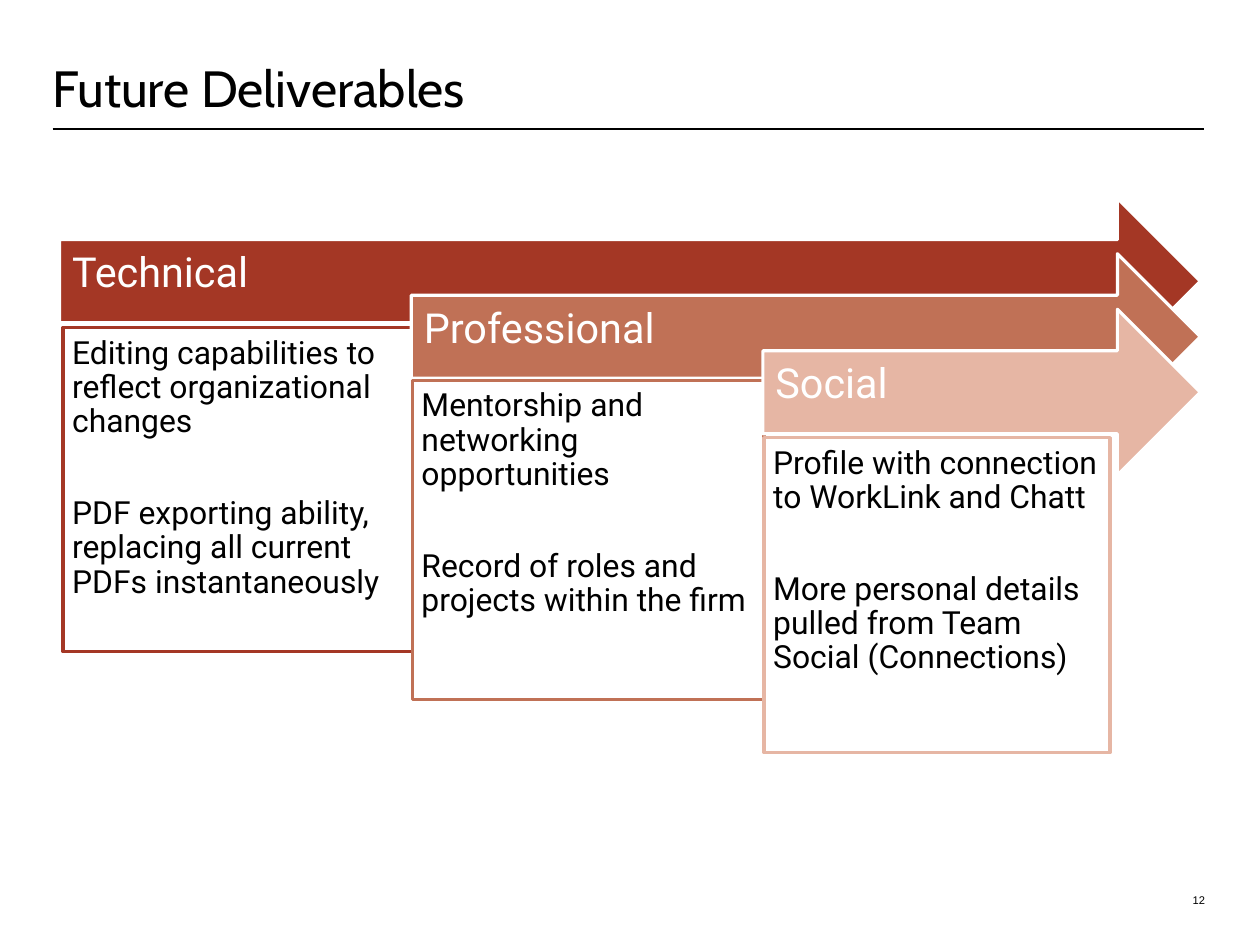
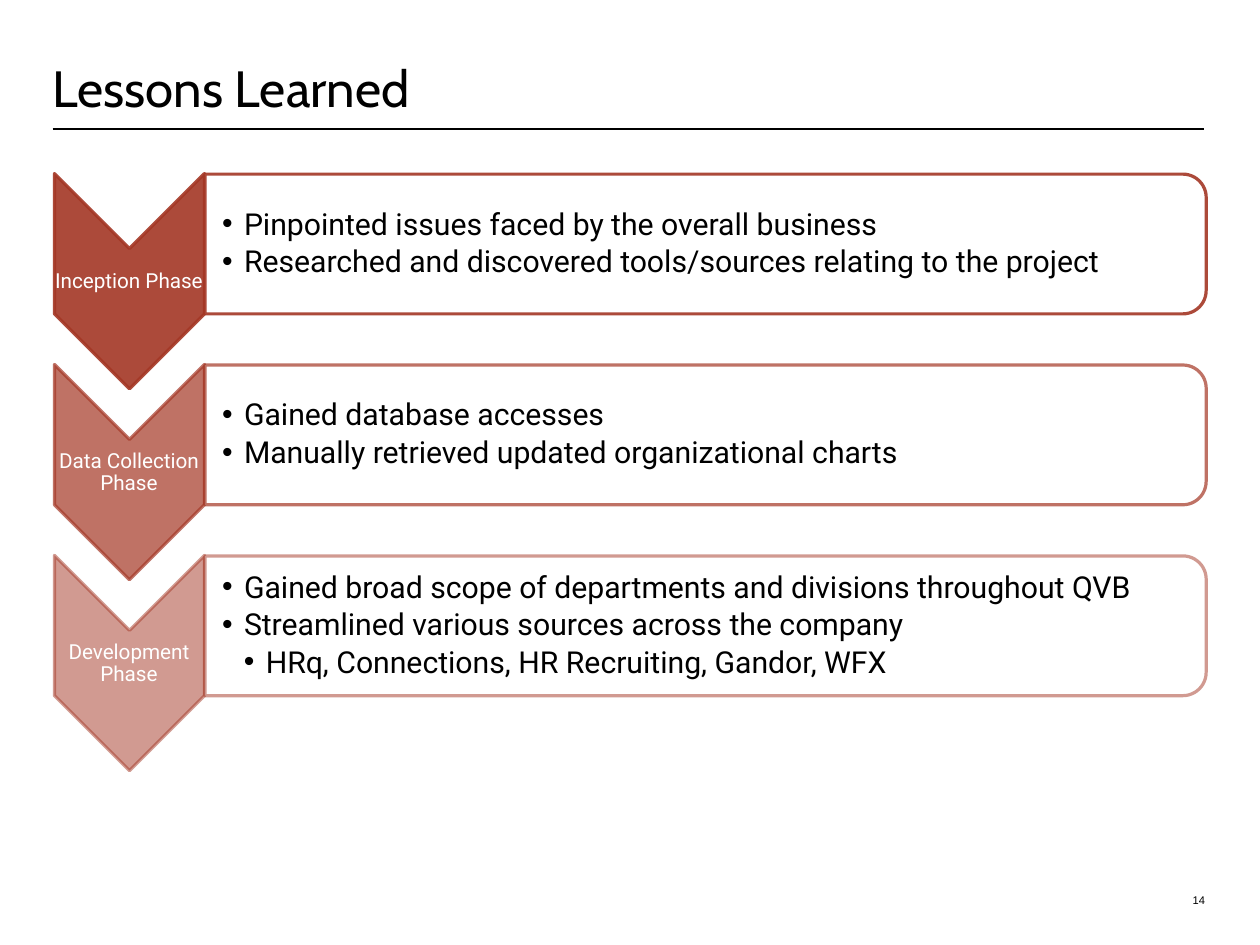
from dataclasses import dataclass
from typing import Any

from lxml.etree import SubElement
from pptx import Presentation
from pptx.dml.color import RGBColor
from pptx.enum.shapes import MSO_CONNECTOR, MSO_SHAPE
from pptx.enum.text import MSO_ANCHOR as Anchor, MSO_AUTO_SIZE, PP_ALIGN as Align
from pptx.oxml.ns import qn
from pptx.util import Inches, Pt

COLORS = {
    "ink": "000000",
    "paper": "FFFFFF",
    "brick": "A43725",
    "clay": "C07156",
    "peach": "E6B6A4",
}
COMPARISON, TITLE_ONLY = 4, 5  # layouts of the default template
LEFT, RIGHT, RULE_Y = 0.46, 10.51, 1.13

Box = tuple[float, float, float, float]
Item = tuple[str, int]


@dataclass(frozen=True)
class TextStyle:
    font: str
    size: float
    color: str = "ink"
    align: Align = Align.LEFT
    anchor: Anchor = Anchor.TOP
    insets: Box = (0, 0, 0, 0)
    spacing: Any = 0.9
    after: float = 0


TITLE = TextStyle("Cabin", 32, anchor=Anchor.BOTTOM, spacing=Pt(32))
PAGE = TextStyle("Arial", 7, align=Align.RIGHT, anchor=Anchor.BOTTOM, spacing=1.0)
ARROW = TextStyle("Roboto", 26, "paper", anchor=Anchor.MIDDLE,
                  insets=(0.11, 0.11, 0.28, 0.23))
DETAIL = TextStyle("Roboto", 20, insets=(0.08,) * 4, after=36)
PHASE = TextStyle("Roboto", 13, "paper", Align.CENTER, Anchor.MIDDLE, (0.01,) * 4)
LESSON = TextStyle("Roboto", 19, anchor=Anchor.MIDDLE,
                   insets=(0.15, 0.01, 0.01, 0.01), after=3)


@dataclass(frozen=True)
class Deliverable:
    name: str
    color: str
    box: Box
    details: tuple[str, ...]


@dataclass(frozen=True)
class Phase:
    name: str
    opacity: int
    lessons: tuple[Item, ...]


DELIVERABLES = (
    Deliverable("Technical", "brick", (0.55, 2.86, 3.1, 2.83), (
        "Editing capabilities to reflect organizational changes",
        "PDF exporting ability, replacing all current PDFs instantaneously")),
    Deliverable("Professional", "clay", (3.6, 3.32, 3.07, 2.79), (
        "Mentorship and networking opportunities",
        "Record of roles and projects within the firm")),
    Deliverable("Social", "peach", (6.67, 3.82, 3.02, 2.75), (
        "Profile with connection to WorkLink and Chatt",
        "More personal details pulled from Team Social (Connections)")),
)
PHASES = (
    Phase("Inception Phase", 90, (
        ("Pinpointed issues faced by the overall business", 0),
        ("Researched and discovered tools/sources relating to the project", 0))),
    Phase("Data Collection Phase", 70, (
        ("Gained database accesses", 0),
        ("Manually retrieved updated organizational charts", 0))),
    Phase("Development Phase", 50, (
        ("Gained broad scope of departments and divisions throughout QVB", 0),
        ("Streamlined various sources across the company", 0),
        ("HRq, Connections, HR Recruiting, Gandor, WFX", 1))),
)


def rgb(name: str) -> RGBColor:
    return RGBColor.from_string(COLORS[name])


def set_attrs(obj: Any, values: dict[str, Any]) -> None:
    for name, value in values.items():
        setattr(obj, name, value)


def place(sp: Any, box: Box) -> None:
    set_attrs(sp, dict(zip(("left", "top", "width", "height"), map(Inches, box))))


def write(sp: Any, items: tuple[Item, ...], style: TextStyle, bullets: bool = False) -> None:
    """Fill a shape with (text, level) paragraphs in one style."""
    tf = sp.text_frame
    margins = ("margin_left", "margin_top", "margin_right", "margin_bottom")
    set_attrs(tf, {
        "word_wrap": True,
        "auto_size": MSO_AUTO_SIZE.NONE,
        "vertical_anchor": style.anchor,
        **dict(zip(margins, map(Inches, style.insets))),
    })
    for i, (text, level) in enumerate(items):
        p = tf.add_paragraph() if i else tf.paragraphs[0]
        set_attrs(p, {
            "alignment": style.align,
            "level": level,
            "line_spacing": style.spacing,
            "space_before": Pt(0),
            "space_after": Pt(style.after),
        })
        r = p.add_run()
        r.text = text
        set_attrs(r.font, {"name": style.font, "size": Pt(style.size), "bold": False})
        r.font.color.rgb = rgb(style.color)
        if bullets:
            add_bullet(p, level)


def add_bullet(p: Any, level: int) -> None:
    ppr = p._p.get_or_add_pPr()
    ppr.set("marL", str(Inches(0.19 * (level + 1))))
    ppr.set("indent", str(Inches(-0.19)))
    SubElement(ppr, qn("a:buFont"), typeface="Arial")
    SubElement(ppr, qn("a:buChar"), char="•")


def set_opacity(color_format: Any, percent: int) -> None:
    """Make a solid fill, or the fill of a line, partly transparent."""
    for clr in color_format.iter(qn("a:srgbClr")):
        SubElement(clr, qn("a:alpha"), val=str(percent * 1000))


def add_box(s: Any, kind: MSO_SHAPE, box: Box, fill: str, line: str,
            rotation: float = 0, fill_opacity: int = 100, line_opacity: int = 100) -> Any:
    sp = s.shapes.add_shape(kind, *map(Inches, box))
    sp.rotation = rotation
    sp.shadow.inherit = False
    sp.fill.solid()
    sp.fill.fore_color.rgb = rgb(fill)
    sp.line.color.rgb = rgb(line)
    sp.line.width = Pt(2)
    sppr = sp.element.spPr
    for tag, opacity in (("a:solidFill", fill_opacity), ("a:ln", line_opacity)):
        if opacity < 100:
            set_opacity(sppr.find(qn(tag)), opacity)
    return sp


def add_text(s: Any, box: Box, text: str, style: TextStyle) -> None:
    write(s.shapes.add_textbox(*map(Inches, box)), ((text, 0),), style)


def add_slide(prs: Any, layout: int, title: str, number: int) -> Any:
    """Add a slide with its title, rule and page number."""
    s = prs.slides.add_slide(prs.slide_layouts[layout])
    place(s.shapes.title, (LEFT, 0, RIGHT - LEFT, 1.03))
    write(s.shapes.title, ((title, 0),), TITLE)
    rule = s.shapes.add_connector(
        MSO_CONNECTOR.STRAIGHT, *map(Inches, (LEFT, RULE_Y, RIGHT, RULE_Y)))
    rule.line.color.rgb = rgb("ink")
    rule.line.width = Pt(1.25)
    SubElement(rule.element.spPr, qn("a:effectLst"))
    add_text(s, (10.07, 7.5, 0.45, 0.42), str(number), PAGE)
    return s


def build_deliverables(prs: Any) -> None:
    s = add_slide(prs, TITLE_ONLY, "Future Deliverables", 12)
    arrow_tip = 10.48
    for i, item in enumerate(DELIVERABLES):
        left, top = 0.52 + 3.07 * i, 1.73 + 0.97 / 2 * i
        arrow = add_box(s, MSO_SHAPE.RIGHT_ARROW, (left, top, arrow_tip - left, 1.45),
                        item.color, "paper")
        write(arrow, ((item.name, 0),), ARROW)
        panel = add_box(s, MSO_SHAPE.RECTANGLE, item.box, "paper", item.color)
        write(panel, tuple((text, 0) for text in item.details), DETAIL)


def build_lessons(prs: Any) -> None:
    s = add_slide(prs, COMPARISON, "Lessons Learned", 14)
    _, *bodies = s.placeholders
    pitch = 5 / 3
    for i, (phase, body) in enumerate(zip(PHASES, bodies)):
        y = pitch * i
        add_box(s, MSO_SHAPE.CHEVRON, (0.19, 1.8 + y, 1.88, 1.31), "brick", "brick",
                90, phase.opacity, phase.opacity)
        add_text(s, (0.47, 2.18 + y, 1.31, 0.56), phase.name, PHASE)
        add_box(s, MSO_SHAPE.ROUND_2_SAME_RECTANGLE, (5.55, -2.24 + y, 1.22, 8.74),
                "paper", "brick", 90, 90, phase.opacity)
        place(body, (1.79, 1.58 + y, 8.68, 1.1))
        write(body, phase.lessons, LESSON, bullets=True)
        body.element.getparent().append(body.element)  # in front of its bar
    for spare in bodies[len(PHASES):]:
        spare.element.getparent().remove(spare.element)


def main() -> None:
    prs = Presentation()
    set_attrs(prs, {"slide_width": Inches(11), "slide_height": Inches(8.25)})
    build_deliverables(prs)
    build_lessons(prs)
    prs.save("out.pptx")


if __name__ == "__main__":
    main()
